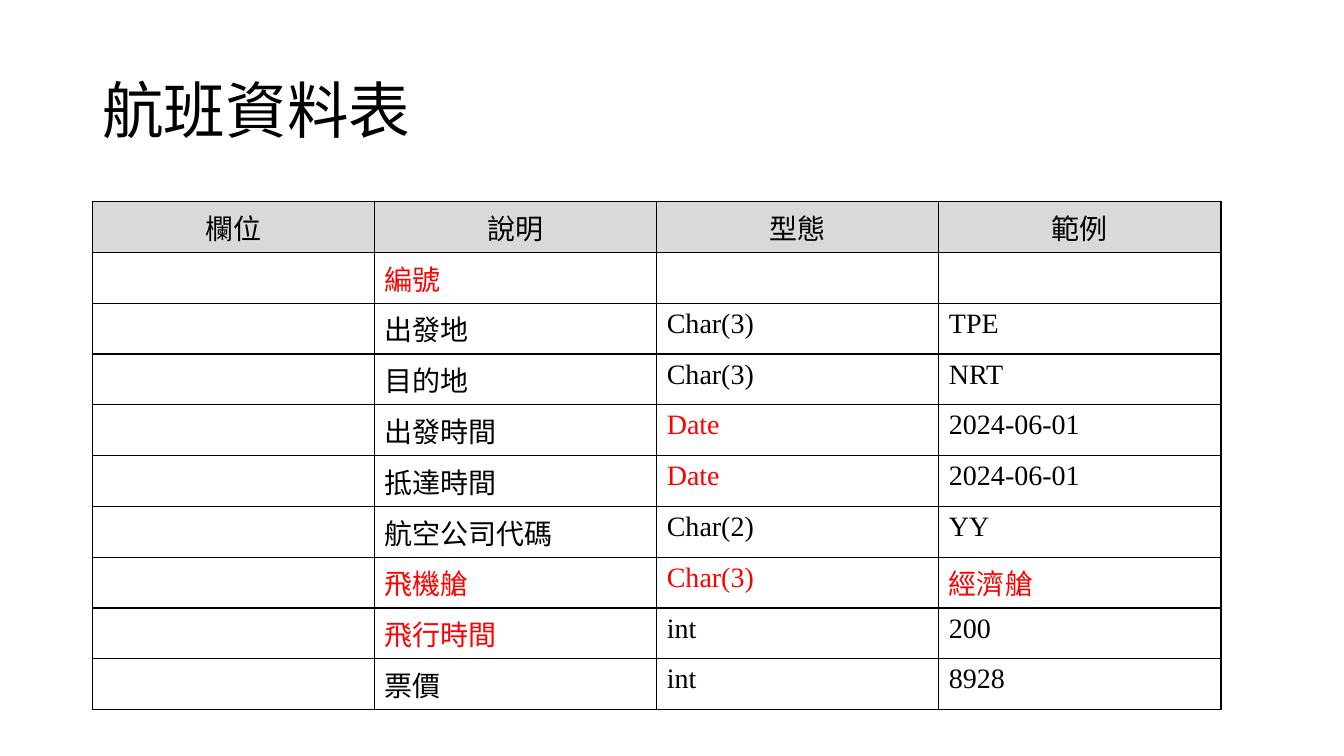
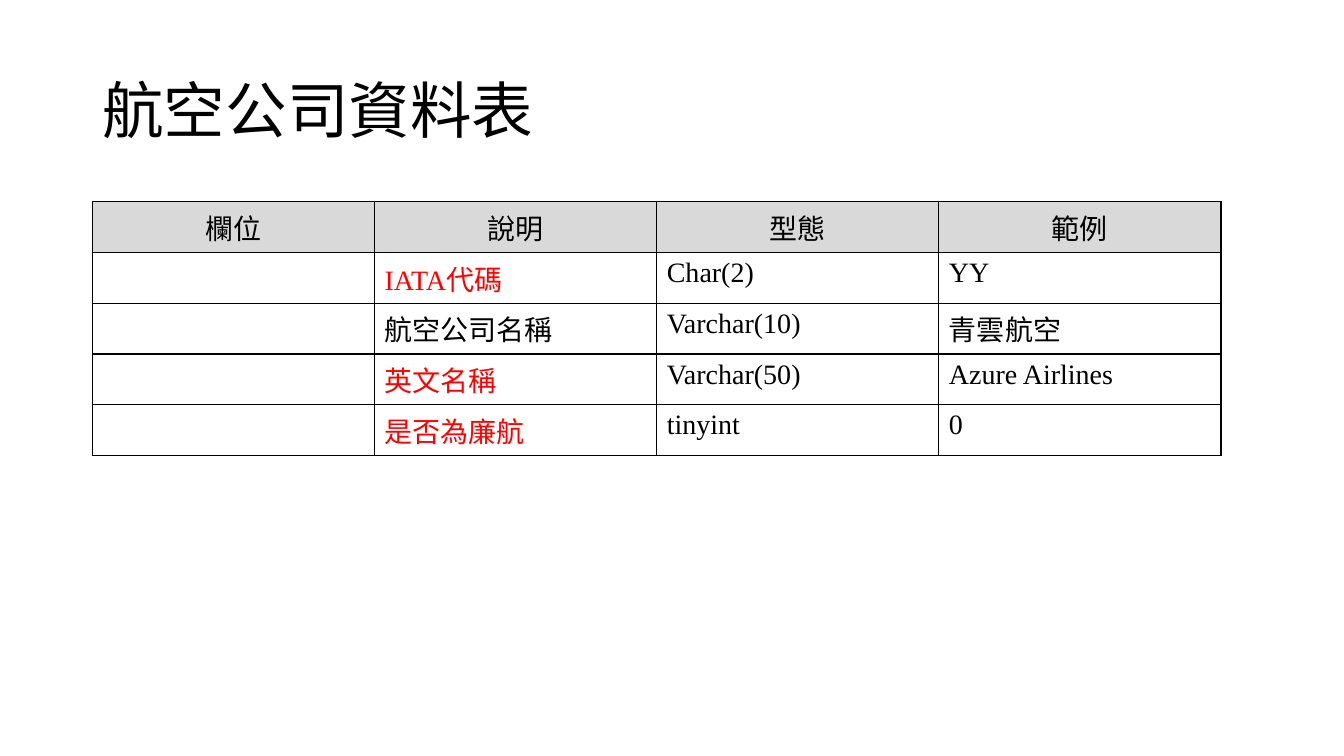
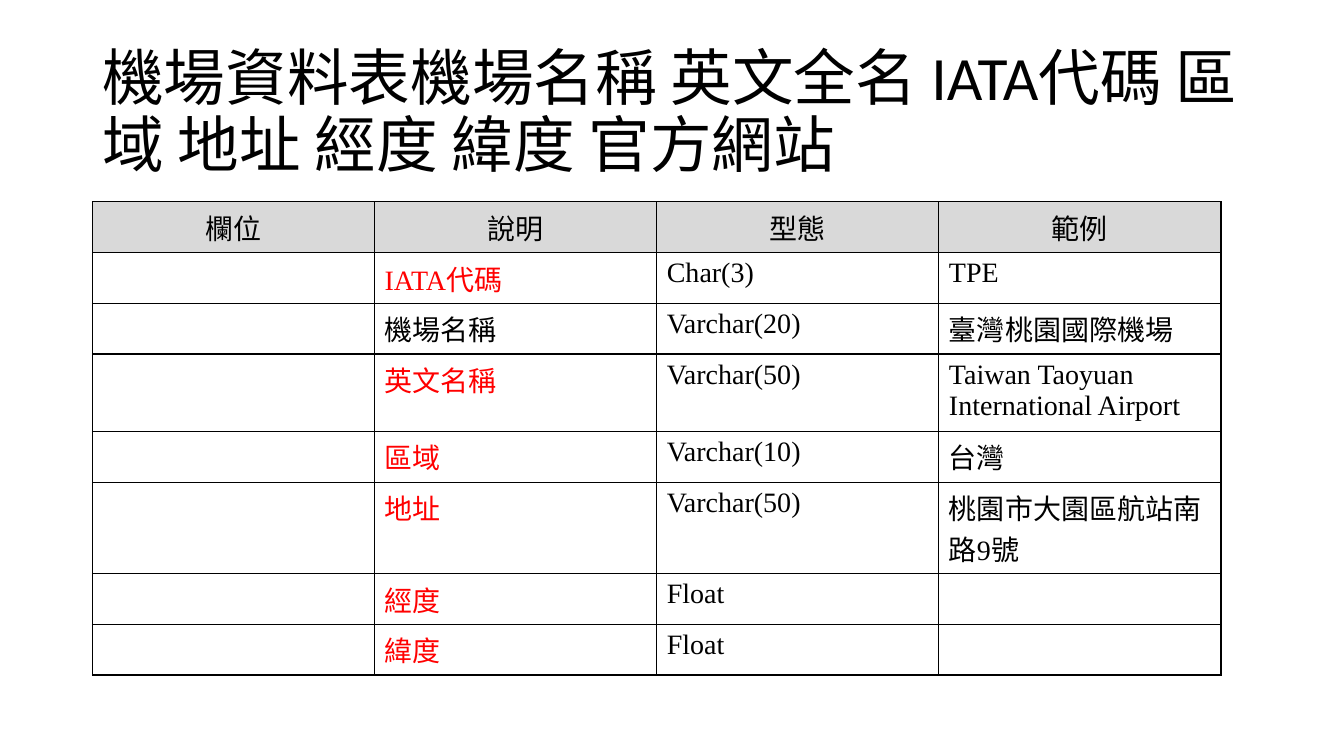
import pptx
import pptx.util
import pptx.dml.color
import pptx.enum.text
import pptx.oxml
import pptx.oxml.ns

PX = 9525
COLORS = {"text": "000000", "changed": "FF0000", "header": "D9D9D9", "border": "000000"}
CJK_FONT = "Noto Sans CJK SC"
TABLE_FONT = "Times New Roman"
TITLE_BOX = [n * PX for n in (88, 39, 1104, 139)]
TABLE_LEFT, TABLE_TOP, TABLE_WIDTH = [n * PX for n in (88, 192, 1075)]
ROW_HEIGHT = 484 * PX // 10
TALL_ROWS = {"!英文名稱": 69 * PX, "!地址": 87 * PX}
HEADER = ["欄位", "說明", "型態", "範例"]
CHANGED_MARK = "!"

SLIDES = [
    (
        [("航班資料表", CJK_FONT)],
        [
            ["", "!編號", "", ""],
            ["", "出發地", "Char(3)", "TPE"],
            ["", "目的地", "Char(3)", "NRT"],
            ["", "出發時間", "!Date", "2024-06-01"],
            ["", "抵達時間", "!Date", "2024-06-01"],
            ["", "航空公司代碼", "Char(2)", "YY"],
            ["", "!飛機艙", "!Char(3)", "!經濟艙"],
            ["", "!飛行時間", "int", "200"],
            ["", "票價", "int", "8928"],
        ],
        {},
    ),
    (
        [("航空公司資料表", CJK_FONT)],
        [
            ["", "!IATA代碼", "Char(2)", "YY"],
            ["", "航空公司名稱", "Varchar(10)", "青雲航空"],
            ["", "!英文名稱", "Varchar(50)", "Azure Airlines"],
            ["", "!是否為廉航", "tinyint", "0"],
        ],
        {},
    ),
    (
        [
            ("機場資料表", CJK_FONT),
            ("機場名稱 英文全名 IATA代碼 區域 地址 經度 緯度 官方網站", "Calibri"),
        ],
        [
            ["", "!IATA代碼", "Char(3)", "TPE"],
            ["", "機場名稱", "Varchar(20)", "臺灣桃園國際機場"],
            ["", "!英文名稱", "Varchar(50)", "Taiwan Taoyuan International Airport"],
            ["", "!區域", "Varchar(10)", "台灣"],
            ["", "!地址", "Varchar(50)", "桃園市大園區航站南路9號"],
            ["", "!經度", "Float", ""],
            ["", "!緯度", "Float", ""],
        ],
        TALL_ROWS,
    ),
]


def style_run(run, font, size, color):
    run.font.name = font
    run.font.size = pptx.util.Pt(size)
    run.font.color.rgb = pptx.dml.color.RGBColor.from_string(COLORS[color])
    east_asian = pptx.oxml.parse_xml(
        f'<a:ea {pptx.oxml.ns.nsdecls("a")} typeface="{CJK_FONT}"/>'
    )
    run.font._element.find(pptx.oxml.ns.qn("a:latin")).addnext(east_asian)


def add_borders(cell):
    properties = cell._tc.get_or_add_tcPr()
    for position, side in enumerate(("lnL", "lnR", "lnT", "lnB")):
        border = pptx.oxml.parse_xml(
            f'<a:{side} {pptx.oxml.ns.nsdecls("a")} w="12700"><a:solidFill>'
            f'<a:srgbClr val="{COLORS["border"]}"/></a:solidFill></a:{side}>'
        )
        properties.insert(position, border)


deck = pptx.Presentation()
deck.slide_width = 1280 * PX
deck.slide_height = 720 * PX

for title_parts, fields, tall_rows in SLIDES:
    slide = deck.slides.add_slide(deck.slide_layouts[6])

    title = slide.shapes.add_textbox(*TITLE_BOX).text_frame
    title.word_wrap = True
    title.vertical_anchor = pptx.enum.text.MSO_ANCHOR.MIDDLE
    title.paragraphs[0].line_spacing = 0.9
    for words, font in title_parts:
        title_run = title.paragraphs[0].add_run()
        title_run.text = words
        style_run(title_run, font, 44, "text")

    rows = [HEADER] + fields
    heights = [tall_rows.get(row[1], ROW_HEIGHT) for row in rows]
    schema = slide.shapes.add_table(
        len(rows), len(HEADER), TABLE_LEFT, TABLE_TOP, TABLE_WIDTH, sum(heights)
    ).table
    schema.first_row = False
    schema.horz_banding = False
    for row_index, row in enumerate(rows):
        schema.rows[row_index].height = heights[row_index]
        for column_index, entry in enumerate(row):
            cell = schema.cell(row_index, column_index)
            cell.text_frame.text = entry.removeprefix(CHANGED_MARK)
            paragraph = cell.text_frame.paragraphs[0]
            color = "changed" if entry.startswith(CHANGED_MARK) else "text"
            for run in paragraph.runs:
                style_run(run, TABLE_FONT, 20, color)
            if row_index == 0:
                paragraph.alignment = pptx.enum.text.PP_ALIGN.CENTER
                cell.fill.solid()
                cell.fill.fore_color.rgb = pptx.dml.color.RGBColor.from_string(COLORS["header"])
            else:
                cell.fill.background()
            add_borders(cell)

deck.save("out.pptx")
